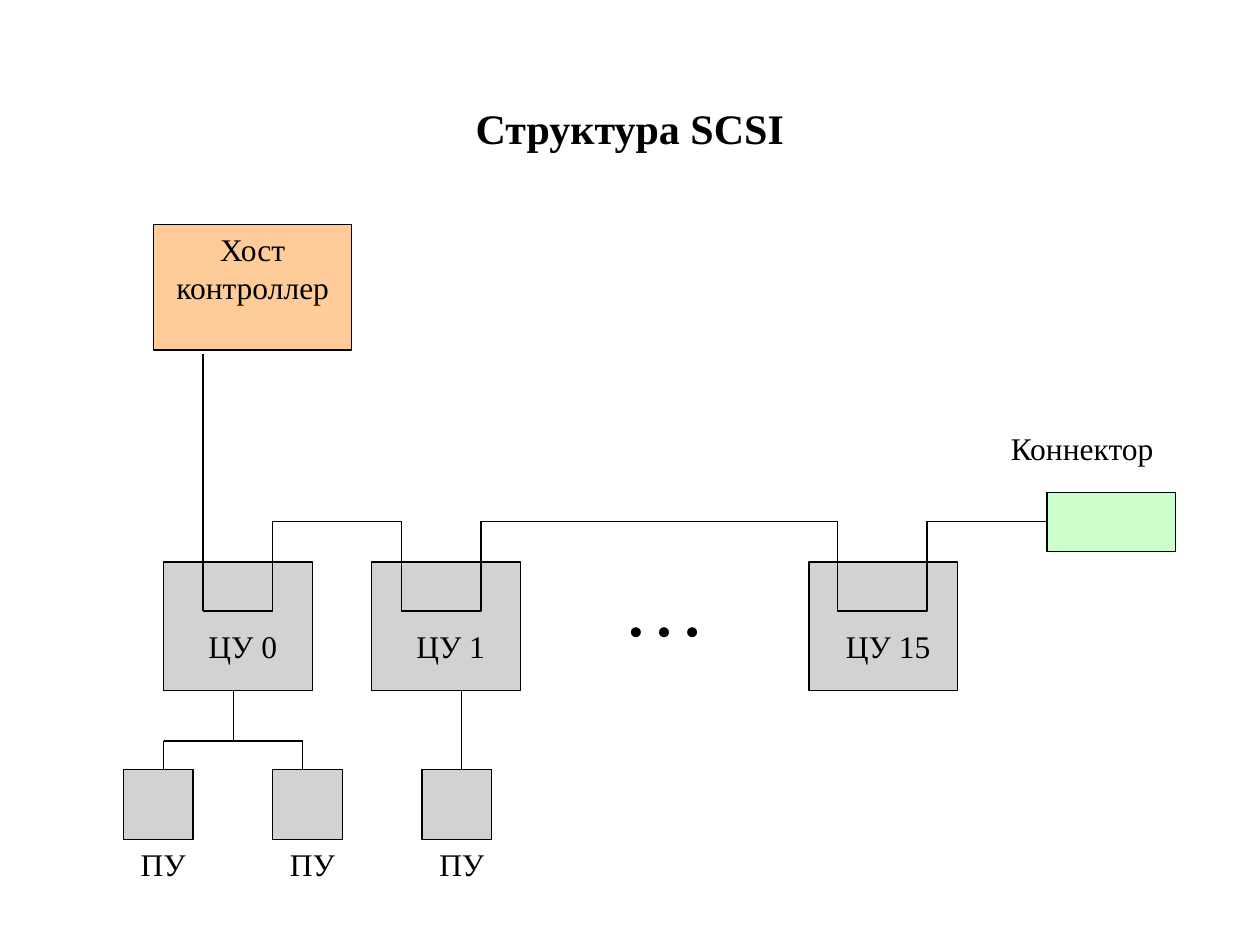
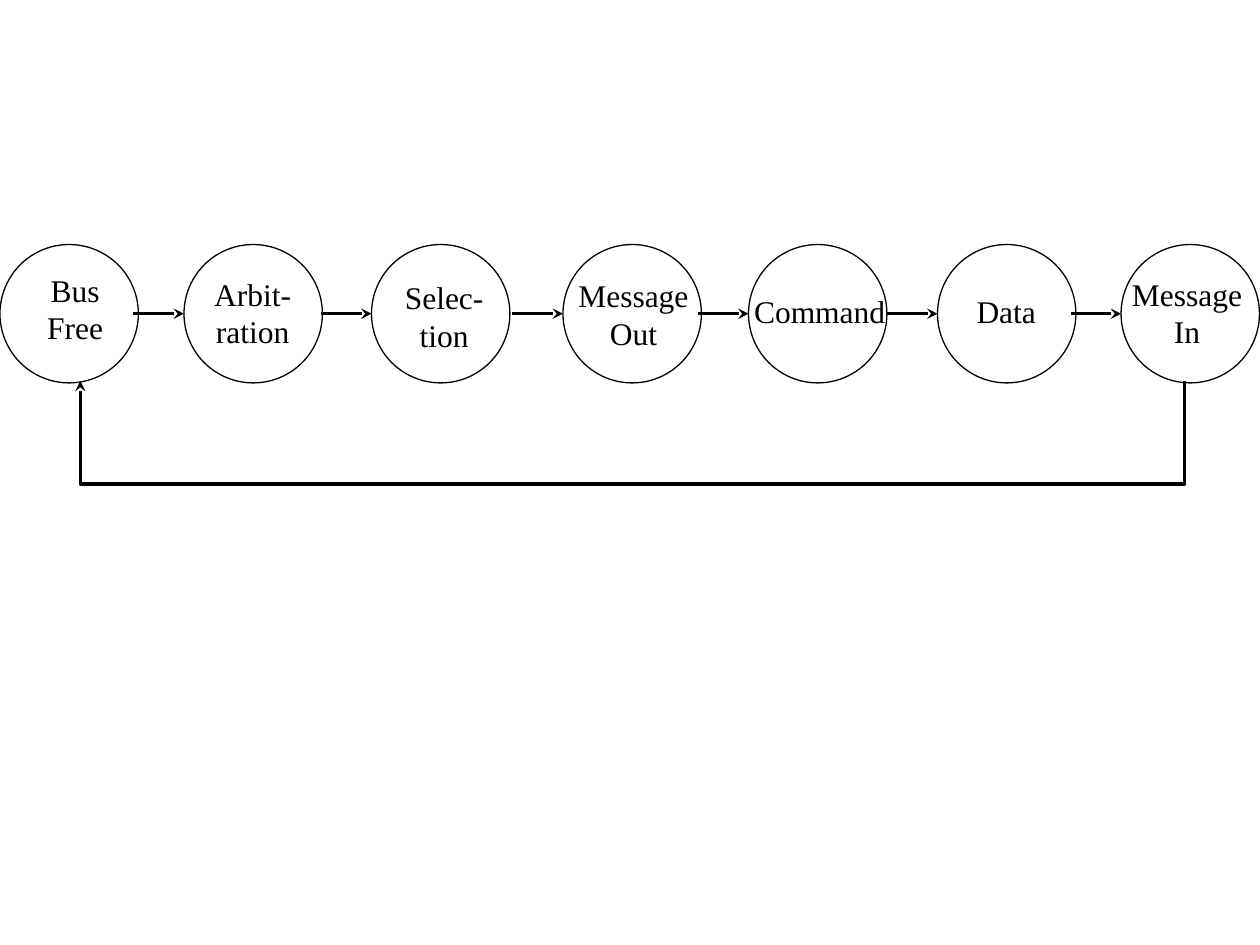
from lxml import etree
from pptx import Presentation
from pptx.dml.color import RGBColor
from pptx.enum.shapes import MSO_CONNECTOR, MSO_SHAPE
from pptx.enum.text import MSO_ANCHOR, MSO_AUTO_SIZE, PP_ALIGN
from pptx.oxml.ns import qn
from pptx.util import Cm, Pt

RECT, OVAL = MSO_SHAPE.RECTANGLE, MSO_SHAPE.OVAL
STRAIGHT = MSO_CONNECTOR.STRAIGHT
CENTER = PP_ALIGN.CENTER
TOP, MIDDLE = MSO_ANCHOR.TOP, MSO_ANCHOR.MIDDLE
GROW = MSO_AUTO_SIZE.SHAPE_TO_FIT_TEXT
TITLE_ONLY, BLANK = 5, 6

FONT = "Times New Roman"
COLORS = {"ink": "000000", "host": "FFCC99", "unit": "D2D2D2", "connector": "CCFFCC"}
THIN, THICK = 0.75, 2
LABEL_HEIGHT = 1.02


# ---- Shared helpers; all lengths are centimetres ----
def color(name):
    return RGBColor.from_string(COLORS[name])


def write(shape, text, size=18, bold=False, anchor=TOP, inset=True):
    frame = shape.text_frame
    frame.word_wrap = True
    frame.vertical_anchor = anchor
    if not inset:
        frame.margin_left = frame.margin_right = 0
        frame.margin_top = frame.margin_bottom = 0
    paragraph = frame.paragraphs[0]
    paragraph.alignment = CENTER
    paragraph.space_before = Pt(0)
    run = paragraph.add_run()
    run.text = text
    run.font.name = FONT
    run.font.size = Pt(size)
    run.font.bold = bold
    run.font.color.rgb = color("ink")


def add_label(slide, text, left, top, width, height=LABEL_HEIGHT, **style):
    label = slide.shapes.add_textbox(Cm(left), Cm(top), Cm(width), Cm(height))
    write(label, text, **style)
    label.text_frame.auto_size = GROW


def stroke(shape, width, arrow=False):
    shape.line.color.rgb = color("ink")
    shape.line.width = Pt(width)
    if arrow:
        outline = shape.element.spPr.find(qn("a:ln"))
        etree.SubElement(outline, qn("a:tailEnd"), type="stealth")


def add_block(slide, kind, left, top, width, height, fill=None):
    block = slide.shapes.add_shape(kind, Cm(left), Cm(top), Cm(width), Cm(height))
    block.shadow.inherit = False
    if fill:
        block.fill.solid()
        block.fill.fore_color.rgb = color(fill)
    else:
        block.fill.background()
    stroke(block, THIN)
    return block


def add_line(slide, x1, y1, x2, y2, width=THIN, arrow=False):
    line = slide.shapes.add_connector(STRAIGHT, Cm(x1), Cm(y1), Cm(x2), Cm(y2))
    stroke(line, width, arrow)
    etree.SubElement(line.element.spPr, qn("a:effectLst"))


def add_route(slide, points, width=THIN, arrow=False):
    start, *rest = [(Cm(x), Cm(y)) for x, y in points]
    builder = slide.shapes.build_freeform(*start)
    builder.add_line_segments(rest, close=False)
    route = builder.convert_to_shape()
    route.shadow.inherit = False
    route.fill.background()
    stroke(route, width, arrow)


def add_title(slide, text):
    title = slide.shapes.title
    title.left, title.top, title.width, title.height = Cm(1.9), Cm(1.93), Cm(21.59), Cm(1.27)
    write(title, text, size=24, bold=True)
    title.text_frame.auto_size = GROW


# ---- Slide 1: SCSI structure ----
def add_host(slide, left, top):
    host = add_block(slide, RECT, left, top, 3.99, 2.54, "host")
    write(host, "Хост контроллер")


def add_control_units(slide, top, units):
    for left, _ in units:
        add_block(slide, RECT, left, top, 3, 2.59, "unit")
    add_label(slide, "…", 11.1, top - 0.2, 4.6, 2.03, size=48, anchor=MIDDLE, inset=False)


def add_unit_names(slide, top, units):
    for left, name in units:
        add_label(slide, name, left + 0.4, top + 1.19, 2.39)


def add_terminator(slide, left, top):
    add_block(slide, RECT, left, top, 2.59, 1.19, "connector")
    add_label(slide, "Коннектор", left - 1.2, top - 1.4, 3.81)


def add_bus(slide, host_bottom, high, low, loops, end):
    # The bus dips into each control unit and runs above the gaps
    points = []
    for entry, leave in loops:
        points += [(entry, high), (entry, low), (leave, low), (leave, high)]
    add_line(slide, loops[0][0], host_bottom, loops[0][0], low)
    add_route(slide, points[1:] + [(end, high)])


def add_peripherals(slide, left, top, unit_bottom):
    for index in range(3):
        x = left + 3.01 * index
        add_block(slide, RECT, x, top, 1.4, 1.4, "unit")
        add_label(slide, "ПУ", x, top + 1.4, 1.6)
    # Branch to the first two devices, single link to the third
    branch_left, branch_right = left + 0.81, left + 3.61
    stem, branch, link = left + 2.21, top - 0.58, left + 6.81
    add_line(slide, link, unit_bottom, link, top)
    add_line(slide, stem, unit_bottom, stem, branch)
    add_line(slide, branch_left, branch, branch_right, branch)
    for x in (branch_left, branch_right):
        add_line(slide, x, branch, x, top)


def build_structure(prs):
    slide = prs.slides.add_slide(prs.slide_layouts[TITLE_ONLY])
    add_title(slide, "Структура SCSI")
    units = [(3.3, "ЦУ 0"), (7.49, "ЦУ 1"), (16.31, "ЦУ 15")]
    unit_top = 11.33
    add_host(slide, 3.1, 4.52)
    add_control_units(slide, unit_top, units)
    add_terminator(slide, 21.11, 9.93)
    loops = [(4.09, 5.49), (8.1, 9.7), (16.89, 18.69)]
    add_bus(slide, 7.14, unit_top - 0.81, unit_top + 0.99, loops, 21.11)
    add_unit_names(slide, unit_top, units)
    add_peripherals(slide, 2.49, 15.52, unit_top + 2.59)


# ---- Slide 2: bus phases ----
def add_phases(slide, top, diameter, phases):
    for left, *_ in phases:
        add_block(slide, OVAL, left, top, diameter, diameter)
    for left, name, dx, dy, width, lines in phases:
        add_label(slide, name, left + dx, top + dy, width, LABEL_HEIGHT + 0.76 * (lines - 1))
    arrow_y = top + diameter / 2
    for left, *_ in phases[1:]:
        add_line(slide, left - 1.02, arrow_y, left, arrow_y, THICK, arrow=True)


def add_return_arrow(slide, left, top, right, bottom):
    points = [(right, top), (right, bottom), (left, bottom), (left, top)]
    add_route(slide, points, THICK, arrow=True)


def build_phases(prs):
    slide = prs.slides.add_slide(prs.slide_layouts[BLANK])
    # Circle left, name, name offset from the circle, name width, lines
    phases = [
        (0, "Bus Free", 0.41, 0.4, 2.21, 2),
        (3.71, "Arbit-ration", 0.28, 0.48, 2.21, 2),
        (7.49, "Selec-tion", 0.36, 0.56, 2.21, 2),
        (11.35, "Message Out", 0, 0.51, 2.84, 2),
        (15.09, "Command", -0.23, 0.84, 3.33, 1),
        (18.9, "Data", 0.28, 0.84, 2.21, 1),
        (22.6, "Message In", -0.17, 0.48, 3, 2),
    ]
    add_phases(slide, 4.93, 2.79, phases)
    add_return_arrow(slide, 1.62, 7.68, 23.88, 9.76)


def main():
    prs = Presentation()
    prs.slide_width, prs.slide_height = Cm(25.4), Cm(19.05)
    build_structure(prs)
    build_phases(prs)
    prs.save("out.pptx")


if __name__ == "__main__":
    main()
